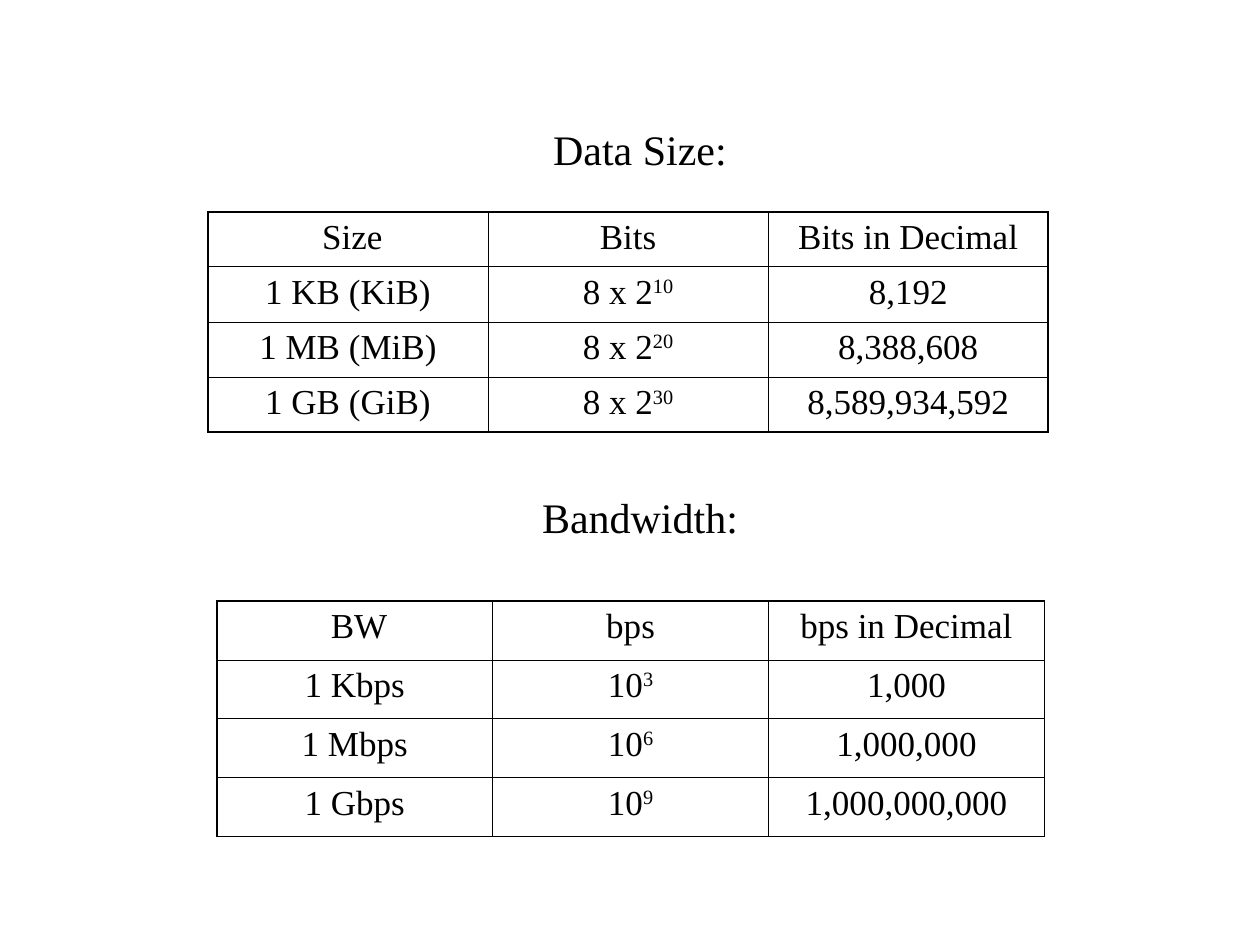
from dataclasses import dataclass

from lxml.etree import SubElement
from pptx import Presentation
from pptx.dml.color import RGBColor
from pptx.enum.text import MSO_ANCHOR, MSO_AUTO_SIZE, PP_ALIGN
from pptx.oxml.ns import qn
from pptx.util import Inches, Pt


@dataclass(frozen=True)
class Theme:
    font: str = "Times New Roman"
    ink: str = "000000"
    heading_size: int = 24
    cell_size: int = 20
    outer_line: float = 1.08
    inner_line: float = 0.45


def write_text(para, text, *, theme, size, before=0):
    """Write a centred paragraph; a part after ^ is set as superscript."""
    para.alignment = PP_ALIGN.CENTER
    para.space_before = Pt(before)
    base, _, power = text.partition("^")
    for part, raised in ((base, False), (power, True)):
        if not part:
            continue
        span = para.add_run()
        span.text = part
        span.font.name = theme.font
        span.font.size = Pt(size)
        span.font.color.rgb = RGBColor.from_string(theme.ink)
        if raised:
            span.font._element.set("baseline", "30000")


def add_border(cell, side, width, color):
    line = SubElement(cell._tc.get_or_add_tcPr(), qn(f"a:ln{side}"), w=str(Pt(width)))
    fill = SubElement(line, qn("a:solidFill"))
    SubElement(fill, qn("a:srgbClr"), val=color)


class SlideBuilder:
    def __init__(self, page, theme):
        self.page = page
        self.theme = theme

    def headings(self, entries, left, top, width, height, first_offset):
        """Fill the body placeholder with (text, space before) entries."""
        box = self.page.placeholders[1]
        box.left, box.top = Inches(left), Inches(top)
        box.width, box.height = Inches(width), Inches(height)
        frame = box.text_frame
        frame.auto_size = MSO_AUTO_SIZE.NONE
        frame.vertical_anchor = MSO_ANCHOR.TOP
        frame.margin_top = Inches(first_offset)
        for index, (text, before) in enumerate(entries):
            para = frame.add_paragraph() if index else frame.paragraphs[0]
            write_text(para, text, theme=self.theme,
                       size=self.theme.heading_size, before=before)
            properties = para._p.get_or_add_pPr()
            properties.set("marL", str(Inches(0.38)))
            properties.set("indent", str(Inches(-0.38)))
            SubElement(properties, qn("a:buNone"))

    def table(self, rows, left, top, width, height):
        row_count, column_count = len(rows), len(rows[0])
        table = self.page.shapes.add_table(
            row_count, column_count, Inches(left), Inches(top),
            Inches(width), Inches(height)).table
        table.first_row = table.horz_banding = False
        for r, row in enumerate(rows):
            for c, text in enumerate(row):
                cell = table.cell(r, c)
                write_text(cell.text_frame.paragraphs[0], text, theme=self.theme,
                           size=self.theme.cell_size, before=5)
                # Heavier lines on the outside of the grid
                outside = {"L": c == 0, "R": c == column_count - 1,
                           "T": r == 0, "B": r == row_count - 1}
                for side, is_outer in outside.items():
                    weight = self.theme.outer_line if is_outer else self.theme.inner_line
                    add_border(cell, side, weight, self.theme.ink)
                cell.fill.background()


def main():
    deck = Presentation()
    deck.slide_width, deck.slide_height = Inches(10), Inches(7.5)
    page = deck.slides.add_slide(deck.slide_layouts[1])
    title = page.shapes.title
    title.element.getparent().remove(title.element)
    builder = SlideBuilder(page, Theme())

    # Headings above the two tables
    builder.headings([("Data Size:", 0), ("Bandwidth:", 181.5)],
                     1.33, 0.42, 7.5, 4.95, first_offset=0.56)

    # Data sizes
    builder.table([
        (" Size", "Bits", "Bits in Decimal"),
        ("1 KB (KiB)", "8 x 2^10", "8,192"),
        ("1 MB (MiB)", "8 x 2^20", "8,388,608"),
        ("1 GB (GiB)", "8 x 2^30", "8,589,934,592"),
    ], 1.65, 1.68, 6.67, 1.75)

    # Bandwidths
    builder.table([
        (" BW", "bps", "bps in Decimal"),
        ("1 Kbps", "10^3", "1,000"),
        ("1 Mbps", "10^6", "1,000,000"),
        ("1 Gbps", "10^9", "1,000,000,000"),
    ], 1.72, 4.77, 6.57, 1.87)

    deck.save("out.pptx")


if __name__ == "__main__":
    main()
